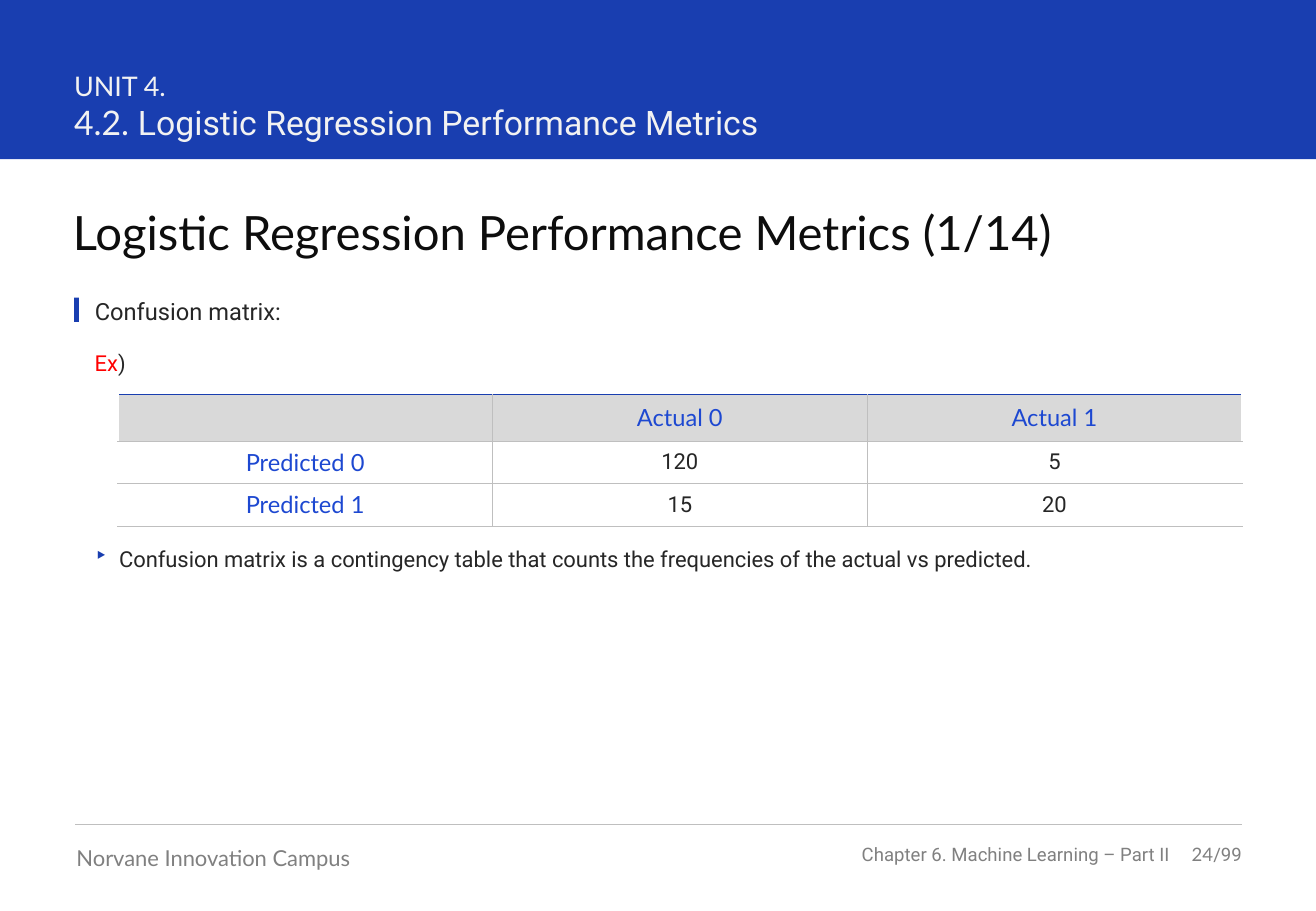
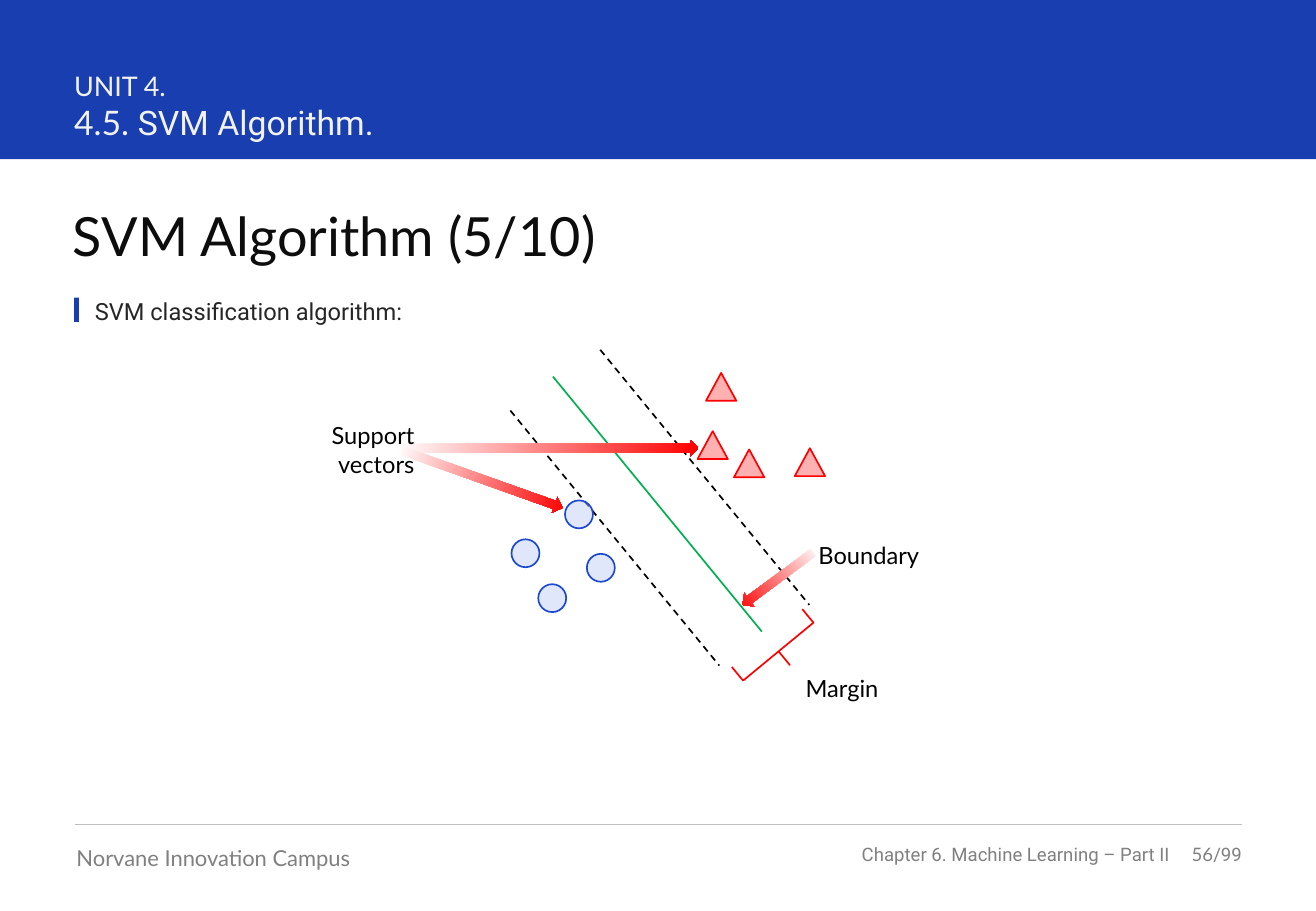
"""Builds two machine learning course slides: a confusion matrix and an SVM diagram."""
from math import atan2, degrees, hypot

from lxml import etree
from pptx import Presentation
from pptx import util as u
from pptx.dml.color import RGBColor
from pptx.enum import dml, shapes, text
from pptx.oxml import ns

WIDTH, HEIGHT = 10.83, 7.5
LEFT, RIGHT, INDENT = 0.61, 10.22, 0.78
COLORS = dict(band="193EB0", heading="F2F2F2", title="0D0D0D", body="262626",
              footer="808080", rule="BFBFBF", head="D9D9D9", label="1D48D1",
              red="FF0000", pale="C5D1F7", green="00B050", black="000000", white="FFFFFF")
STYLES = dict(
    unit=("Lato", 16, "heading"), number=("Lato", 20, "heading"),
    section=("Roboto", 20, "heading"), topic=("Roboto", 14, "body"),
    body=("Roboto", 13, "body"), example=("Roboto", 13, "red"),
    campus=("Lato", 13, "footer"), chapter=("Roboto", 11, "footer"),
    page=("Lato", 11, "footer"), label=("Lato", 14, "label"), note=("Lato", 14, "black"))
PADDED = (0, 0.08, 0.16, 0.08)
NOTE_INSETS = (0.1, 0.05, 0.1, 0.05)
ALIGN = text.PP_ALIGN
MIDDLE = text.MSO_ANCHOR.MIDDLE

MATRIX_SLIDE = dict(
    number="4.2. ", section="Logistic Regression Performance Metrics",
    title="Logistic Regression Performance Metrics (1/14)", size=28,
    topic="Confusion matrix:", page="24")
SVM_SLIDE = dict(
    number="4.5. ", section="SVM Algorithm.",
    title="SVM Algorithm (5/10)", size=32,
    topic="SVM classification algorithm:", page="56")
MATRIX = [("", "Actual 0", "Actual 1"), ("Predicted 0", "120", "5"), ("Predicted 1", "15", "20")]
MATRIX_ROWS = (0.34, 0.35, 0.35)
EXPLANATION = "Confusion matrix is a contingency table that counts the frequencies of the actual vs predicted."

SLOPE = (1.72, 2.1)
SEPARATORS = [((4.55, 3.1), "green", None),
              ((4.2, 3.38), "black", dml.MSO_LINE.DASH),
              ((4.94, 2.88), "black", dml.MSO_LINE.DASH)]
CLASSES = [
    (shapes.MSO_SHAPE.OVAL, (0.23, 0.23), "pale", 50, "label",
     [(4.65, 4.12), (4.21, 4.44), (4.83, 4.56), (4.43, 4.81)]),
    (shapes.MSO_SHAPE.ISOSCELES_TRIANGLE, (0.25, 0.23), "red", 31, "red",
     [(5.81, 3.07), (5.74, 3.55), (6.04, 3.7), (6.54, 3.69)])]
POINTERS = [((3.26, 3.69), (5.75, 3.69)), ((3.31, 3.71), (4.63, 4.18)), ((6.69, 4.55), (6.11, 4.98))]
NOTES = [("Support vectors", (2.51, 3.42, 1, 0.57), ALIGN.RIGHT),
         ("Boundary", (6.54, 4.4, 1.22, 0.34), ALIGN.CENTER),
         ("Margin", (6.43, 5.5, 1, 0.24), ALIGN.CENTER)]


def rgb(name):
    return RGBColor.from_string(COLORS[name])


def assign(target, **values):
    for key, value in values.items():
        setattr(target, key, value)


def inches(*lengths):
    return [u.Inches(length) for length in lengths]


def write(frame, paragraphs, align=ALIGN.LEFT, after=0):
    for index, runs in enumerate(paragraphs):
        paragraph = frame.add_paragraph() if index else frame.paragraphs[0]
        assign(paragraph, alignment=align, space_before=u.Pt(0), space_after=u.Pt(after))
        for words, (face, size, color) in runs:
            run = paragraph.add_run()
            run.text = words
            assign(run.font, name=face, size=u.Pt(size))
            run.font.color.rgb = rgb(color)


def fill_box(box, at, paragraphs, insets=(0, 0, 0, 0), anchor=text.MSO_ANCHOR.TOP, **options):
    assign(box, **dict(zip(("left", "top", "width", "height"), inches(*at))))
    frame = box.text_frame
    assign(frame, word_wrap=True, auto_size=text.MSO_AUTO_SIZE.NONE, vertical_anchor=anchor)
    assign(frame, **dict(zip(("margin_left", "margin_top", "margin_right", "margin_bottom"),
                             inches(*insets))))
    write(frame, paragraphs, **options)
    return frame


def add_text(slide, at, paragraphs, **options):
    return fill_box(slide.shapes.add_textbox(*inches(*at)), at, paragraphs, **options)


def set_bullet(paragraph, char=None, indent=0.0):
    props = paragraph._p.get_or_add_pPr()
    props.set("marL", str(u.Inches(indent)))
    props.set("indent", str(-u.Inches(indent)))
    if char:
        color = etree.SubElement(props, ns.qn("a:buClr"))
        etree.SubElement(color, ns.qn("a:srgbClr"), val=COLORS["band"])
        etree.SubElement(props, ns.qn("a:buChar"), char=char)
    else:
        etree.SubElement(props, ns.qn("a:buNone"))


def add_shape(slide, kind, at, fill=None, line=None, alpha=100):
    shape = slide.shapes.add_shape(kind, *inches(*at))
    shape.shadow.inherit = False
    if fill:
        shape.fill.solid()
        shape.fill.fore_color.rgb = rgb(fill)
        if alpha < 100:
            color = shape.element.spPr.find(".//" + ns.qn("a:srgbClr"))
            etree.SubElement(color, ns.qn("a:alpha"), val=str(alpha * 1000))
    else:
        shape.fill.background()
    if line:
        shape.line.color.rgb = rgb(line)
        shape.line.width = u.Pt(1)
    else:
        shape.line.fill.background()
    return shape


def add_line(slide, start, end, color, width=1.0, dash=None):
    line = slide.shapes.add_connector(shapes.MSO_CONNECTOR.STRAIGHT, *inches(*start, *end))
    line.line.color.rgb = rgb(color)
    assign(line.line, width=u.Pt(width), dash_style=dash)
    etree.SubElement(line.element.spPr, ns.qn("a:effectLst"))


def add_pointer(slide, tail, head, thickness=0.14):
    dx, dy = head[0] - tail[0], head[1] - tail[1]
    length = hypot(dx, dy)
    at = ((tail[0] + head[0] - thickness) / 2, (tail[1] + head[1] - length) / 2, thickness, length)
    arrow = add_shape(slide, shapes.MSO_SHAPE.DOWN_ARROW, at)
    arrow.rotation = (degrees(atan2(dy, dx)) - 90) % 360
    arrow.fill.gradient()
    arrow.fill.gradient_angle = 270
    for stop, color in zip(arrow.fill.gradient_stops, ("white", "red")):
        stop.color.rgb = rgb(color)


def furnish_layout(layout, slide):
    own = set(slide.shapes.element)
    add_shape(slide, shapes.MSO_SHAPE.RECTANGLE, (0, 0, WIDTH, 1.31), "band")
    add_shape(slide, shapes.MSO_SHAPE.RECTANGLE, (LEFT, 2.45, 0.04, 0.2), "band")
    add_line(slide, (0.62, 6.79), (RIGHT, 6.79), "rule", 0.5)
    add_text(slide, (0.63, 6.95, 3.16, 0.22), [[("Norvane Innovation Campus", STYLES["campus"])]])
    add_text(slide, (7.09, 6.94, 2.54, 0.19),
             [[("Chapter 6. Machine Learning – Part II", STYLES["chapter"])]],
             anchor=MIDDLE, align=ALIGN.RIGHT)
    for element in list(slide.shapes.element):
        if element not in own:
            layout.shapes.element.append(element)


def fill_frame(slide, content):
    heading = [[("UNIT 4.", STYLES["unit"])],
               [("%s" % content[key], STYLES[key]) for key in ("number", "section")]]
    add_text(slide, (LEFT, 0.57, 6.37, 0.61), heading)
    fill_box(slide.shapes.title, (0.6, 1.67, 9.62, 0.54),
             [[(content["title"], ("Lato", content["size"], "title"))]])
    topic = fill_box(slide.placeholders[1], (INDENT, 2.44, RIGHT - INDENT, 0.24),
                     [[(content["topic"], STYLES["topic"])]], after=6)
    set_bullet(topic.paragraphs[0])
    add_text(slide, (9.63, 6.94, 0.59, 0.19),
             [[(content["page"], STYLES["page"]), ("/99", STYLES["chapter"])]],
             anchor=MIDDLE, align=ALIGN.RIGHT)


def add_border(cell, side, color, width):
    line = etree.SubElement(cell._tc.get_or_add_tcPr(), ns.qn("a:ln" + side), w=str(u.Pt(width)))
    solid = etree.SubElement(line, ns.qn("a:solidFill"))
    etree.SubElement(solid, ns.qn("a:srgbClr"), val=COLORS[color])


def add_matrix(slide):
    left = 0.97
    last = len(MATRIX[0]) - 1
    table = slide.shapes.add_table(len(MATRIX), last + 1,
                                   *inches(left, 3.25, RIGHT - left, sum(MATRIX_ROWS))).table
    assign(table, first_row=False, horz_banding=False)
    for row, height in zip(table.rows, MATRIX_ROWS):
        row.height = u.Inches(height)
    for r, values in enumerate(MATRIX):
        for c, value in enumerate(values):
            cell = table.cell(r, c)
            sides = "L" * (c > 0) + "R" * (c < last) + "TB"
            for side in sides:
                top_edge = side == "T" and r == 0
                add_border(cell, side, *(("band", 1) if top_edge else ("rule", 0.5)))
            if r == 0:
                cell.fill.solid()
                cell.fill.fore_color.rgb = rgb("head")
            else:
                cell.fill.background()
            cell.vertical_anchor = MIDDLE
            style = STYLES["body" if r and c else "label"]
            write(cell.text_frame, [[(value, style)]], align=ALIGN.CENTER)


def fill_matrix_slide(slide):
    width = RIGHT - INDENT
    add_text(slide, (INDENT, 2.8, width, 0.38),
             [[("Ex", STYLES["example"]), (")", STYLES["body"])]], insets=PADDED, after=8)
    add_matrix(slide)
    explanation = add_text(slide, (INDENT, 4.41, width, 0.38),
                           [[(EXPLANATION, STYLES["body"])]], insets=PADDED, after=8)
    set_bullet(explanation.paragraphs[0], "‣", 0.2)


def fill_svm_slide(slide):
    for start, color, dash in SEPARATORS:
        end = [begin + step for begin, step in zip(start, SLOPE)]
        add_line(slide, start, end, color, dash=dash)
    margin = add_shape(slide, shapes.MSO_SHAPE.RIGHT_BRACE, (6.26, 4.99, 0.29, 0.75), line="red")
    margin.rotation = 50.5
    margin.adjustments[0], margin.adjustments[1] = 0, 0.496
    for kind, size, fill, alpha, line, places in CLASSES:
        for place in places:
            add_shape(slide, kind, place + size, fill, line, alpha)
    for tail, head in POINTERS:
        add_pointer(slide, tail, head)
    for words, at, align in NOTES:
        add_text(slide, at, [[(words, STYLES["note"])]], insets=NOTE_INSETS, align=align)


def main():
    deck = Presentation()
    assign(deck, slide_width=u.Inches(WIDTH), slide_height=u.Inches(HEIGHT))
    layout = deck.slide_layouts[1]
    pages = [(MATRIX_SLIDE, fill_matrix_slide), (SVM_SLIDE, fill_svm_slide)]
    for index, (content, fill_slide) in enumerate(pages):
        slide = deck.slides.add_slide(layout)
        if index == 0:
            furnish_layout(layout, slide)
        fill_frame(slide, content)
        fill_slide(slide)
    deck.save("out.pptx")


if __name__ == "__main__":
    main()
